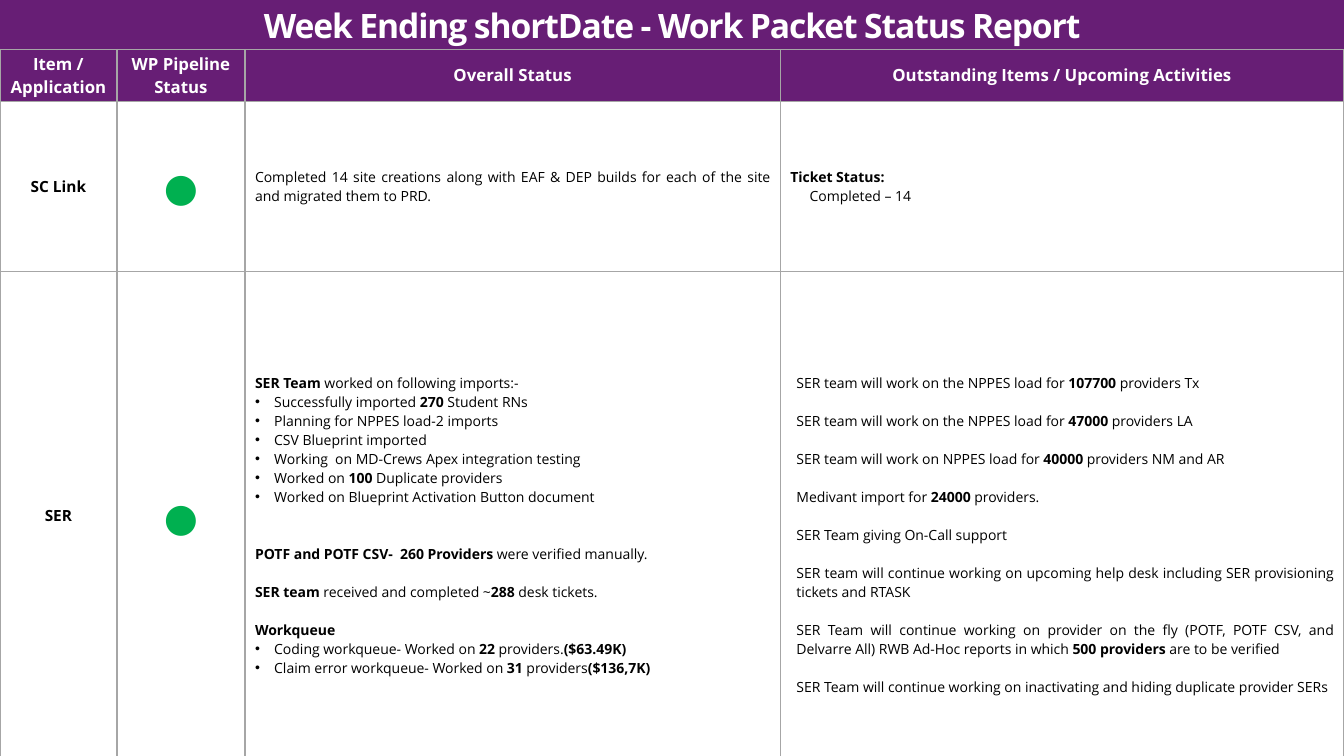
from dataclasses import dataclass

from lxml import etree
from pptx import Presentation
from pptx.dml.color import RGBColor
from pptx.enum.text import MSO_ANCHOR, PP_ALIGN
from pptx.oxml.ns import qn
from pptx.util import Inches, Pt

CENTER, JUSTIFY = PP_ALIGN.CENTER, PP_ALIGN.JUSTIFY
MIDDLE = MSO_ANCHOR.MIDDLE


@dataclass
class Theme:
    font: str = "Open Sans"
    purple: str = "671E75"
    white: str = "FFFFFF"
    ink: str = "000000"
    green: str = "00B050"
    rule: str = "A6A6A6"
    title: float = 24
    header: float = 12
    item: float = 11
    body: float = 10
    dot: float = 28
    body_line: float = 13.6


theme = Theme()


def write(paragraph, marked_text, size, color, align):
    paragraph.alignment = align
    for index, part in enumerate(marked_text.split("**")):
        if part:
            run = paragraph.add_run()
            run.text = part
            run.font.name = theme.font
            run.font.size = Pt(size)
            run.font.bold = index % 2 == 1
            run.font.color.rgb = RGBColor.from_string(color)


def set_up_cell(cell, fill, margin):
    cell.vertical_anchor = MIDDLE
    cell.margin_left = cell.margin_right = Inches(0.1)
    cell.margin_top = cell.margin_bottom = Inches(margin)
    properties = cell._tc.get_or_add_tcPr()
    for side in ("a:lnL", "a:lnR", "a:lnT", "a:lnB"):
        border = etree.SubElement(properties, qn(side), w=str(Pt(1)))
        solid = etree.SubElement(border, qn("a:solidFill"))
        etree.SubElement(solid, qn("a:srgbClr"), val=theme.rule)
    if fill:
        cell.fill.solid()
        cell.fill.fore_color.rgb = RGBColor.from_string(fill)
    else:
        cell.fill.background()


presentation = Presentation()
presentation.slide_width = Inches(13.33)
presentation.slide_height = Inches(7.5)
slide_width, slide_height = presentation.slide_width, presentation.slide_height
slide = presentation.slides.add_slide(presentation.slide_layouts[5])

band_height = Inches(0.49)
title = slide.shapes.title
title.left, title.top, title.width, title.height = 0, 0, slide_width, band_height
title.fill.solid()
title.fill.fore_color.rgb = RGBColor.from_string(theme.purple)
heading = title.text_frame
heading.word_wrap = True
heading.vertical_anchor = MIDDLE
heading.margin_left = heading.margin_right = heading.margin_bottom = 0
heading.margin_top = Inches(0.05)
heading.paragraphs[0].line_spacing = 0.9
write(heading.paragraphs[0], "**Week Ending shortDate - Work Packet Status Report**",
      theme.title, theme.white, CENTER)
heading.paragraphs[0].runs[0].font._element.set("spc", "-80")

headers = ["Item / Application", "WP Pipeline Status", "Overall Status",
           "Outstanding Items / Upcoming Activities"]
column_widths = [1.16, 1.27, 5.31, 5.59]
row_heights = [0.47, 1.69, 4.85]

items = [
    ("SC Link",
     (0, [(0, 0, False, "Completed 14 site creations along with EAF & DEP builds for each of the site and migrated them to PRD.")]),
     (0, [(0, 0, False, "**Ticket Status:**"),
          (0, 0.19, False, "Completed – 14")])),
    ("SER",
     (1, [(0, 0, False, "**SER Team **worked on following imports:-"),
          (0, 0.19, True, "Successfully imported **270** Student RNs"),
          (0, 0.19, True, "Planning for NPPES load-2 imports"),
          (0, 0.19, True, "CSV Blueprint imported"),
          (0, 0.19, True, "Working  on MD-Crews Apex integration testing"),
          (0, 0.19, True, "Worked on **100 **Duplicate providers"),
          (0, 0.19, True, "Worked on Blueprint Activation Button document"),
          (2, 0, False, "**POTF and POTF CSV-  260 Providers** were verified manually."),
          (1, 0, False, "**SER team **received and completed ~**288 **desk tickets."),
          (1, 0, False, "**Workqueue**"),
          (0, 0.19, True, "Coding workqueue- Worked on **22 **providers.**($63.49K)**"),
          (0, 0.19, True, "Claim error workqueue- Worked on **31 **providers**($136,7K)**")]),
     (2, [(0, 0.06, False, "SER team will work on the NPPES load for **107700 **providers Tx"),
          (1, 0.06, False, "SER team will work on the NPPES load for **47000 **providers LA"),
          (1, 0.06, False, "SER team will work on NPPES load for **40000 **providers NM and AR"),
          (1, 0.06, False, "Medivant import for **24000 **providers."),
          (1, 0.06, False, "SER Team giving On-Call support"),
          (1, 0.06, False, "SER team will continue working on upcoming help desk including SER provisioning tickets and RTASK"),
          (1, 0.06, False, "SER Team will continue working on provider on the fly (POTF, POTF CSV, and Delvarre All) RWB Ad-Hoc reports in which **500 providers** are to be verified"),
          (1, 0.06, False, "SER Team will continue working on inactivating and hiding duplicate provider SERs")])),
]

report = slide.shapes.add_table(len(items) + 1, len(headers), 0, band_height,
                                slide_width, slide_height - band_height).table
report.horz_banding = False
for column, width in zip(report.columns, column_widths):
    column.width = Inches(width)
for row, height in zip(report.rows, row_heights):
    row.height = Inches(height)

for column_index, label in enumerate(headers):
    cell = report.cell(0, column_index)
    set_up_cell(cell, theme.purple, 0.03)
    write(cell.text_frame.paragraphs[0], f"**{label}**", theme.header, theme.white, CENTER)

for row_index, (item, *blocks) in enumerate(items, start=1):
    item_cell, status_cell, *text_cells = report.rows[row_index].cells
    for cell in (item_cell, status_cell, *text_cells):
        set_up_cell(cell, None, 0.02)
    write(item_cell.text_frame.paragraphs[0], f"**{item}**", theme.item, theme.ink, CENTER)
    status = status_cell.text_frame.paragraphs[0]
    status.space_before = Pt(4)
    write(status, "**●**", theme.dot, theme.green, CENTER)

    for cell, (lines_above, entries) in zip(text_cells, blocks):
        cell.margin_top = Inches(0.02) + Pt(theme.body_line * lines_above)
        for entry_index, (gap, indent, bullet, text) in enumerate(entries):
            frame = cell.text_frame
            paragraph = frame.add_paragraph() if entry_index else frame.paragraphs[0]
            if gap:
                paragraph.space_before = Pt(theme.body_line * gap)
            write(paragraph, text, theme.body, theme.ink, JUSTIFY)
            layout = paragraph._p.get_or_add_pPr()
            layout.set("marL", str(Inches(indent)))
            layout.set("indent", str(-Inches(indent) if bullet else 0))
            if bullet:
                etree.SubElement(layout, qn("a:buFont"), typeface="Arial")
                etree.SubElement(layout, qn("a:buChar"), char="•")

presentation.save("out.pptx")
